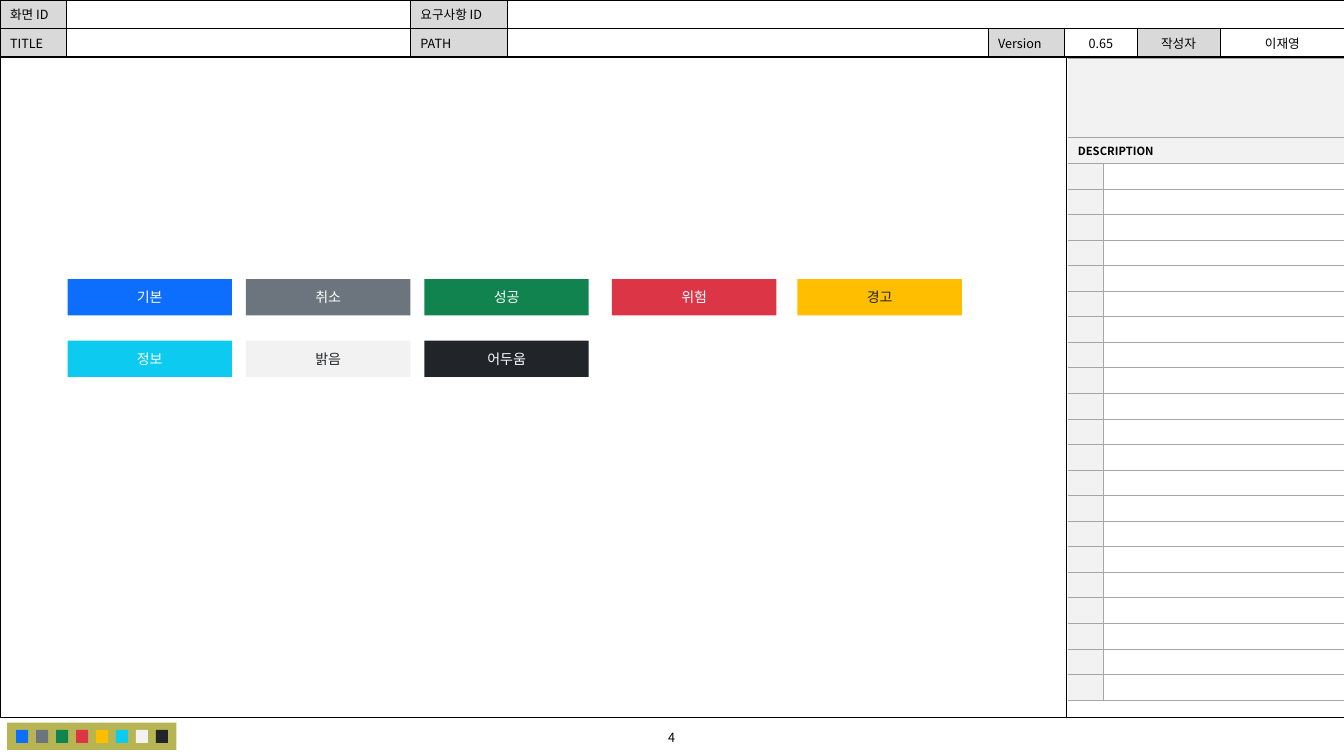
from itertools import accumulate
from lxml.etree import SubElement as Sub
from pptx import Presentation
from pptx.dml.color import RGBColor
from pptx.enum.shapes import MSO_CONNECTOR as Conn, MSO_SHAPE as Kind
from pptx.enum.text import MSO_ANCHOR as Anchor, PP_ALIGN as Align
from pptx.oxml.ns import qn
from pptx.util import Inches, Pt

COLS, ROWS = 1333, 750
UNIT = Inches(0.01)
FONT = "Noto Sans CJK KR"
BLACK, WHITE, GRAY, PALE, RULE = "000000", "FFFFFF", "D9D9D9", "F2F2F2", "A6A6A6"
DARK = "212529"
THEME = [
    ("기본", "0D6EFD", WHITE),
    ("취소", "6C757D", WHITE),
    ("성공", "10834E", WHITE),
    ("위험", "DC3545", WHITE),
    ("경고", "FFBE00", DARK),
    ("정보", "0DCAF0", WHITE),
    ("밝음", PALE, DARK),
    ("어두움", DARK, WHITE),
]


def grid(*cells):
    return [round(c * UNIT) for c in cells]


def paint(fill, tone):
    fill.solid()
    fill.fore_color.rgb = RGBColor.from_string(tone)


def write(frame, word, size, tone=BLACK, align=Align.CENTER, bold=False):
    para = frame.paragraphs[0]
    para.alignment = align
    if not word:
        Sub(para._p, qn("a:endParaRPr"), sz=str(size * 100))
        return
    run = para.add_run()
    run.text = word
    for name, value in {"size": Pt(size), "name": FONT, "bold": bold}.items():
        setattr(run.font, name, value)
    paint(run.font.fill, tone)
    Sub(run._r.get_or_add_rPr(), qn("a:ea"), typeface=FONT)


def block(slide, box, tone=None, edge=None):
    shape = slide.shapes.add_shape(Kind.RECTANGLE, *grid(*box))
    shape.shadow.inherit = False
    if tone:
        paint(shape.fill, tone)
    else:
        shape.fill.background()
    if edge:
        paint(shape.line.fill, edge)
        shape.line.width = Pt(0.25)
    else:
        shape.line.fill.background()
    return shape


def border(cell, sides, tone):
    props = cell._tc.get_or_add_tcPr()
    for side in "LRTB":
        line = Sub(props, qn("a:ln" + side), w=str(Pt(0.5)))
        if side in sides:
            Sub(Sub(line, qn("a:solidFill")), qn("a:srgbClr"), val=tone)
        else:
            Sub(line, qn("a:noFill"))


def table(slide, box, wide, high):
    made = slide.shapes.add_table(len(high), len(wide), *grid(*box)).table
    made.first_row = made.horz_banding = False
    for col, size in zip(made.columns, grid(*wide)):
        col.width = size
    for row, size in zip(made.rows, grid(*high)):
        row.height = size
    return made


def fill_cell(cell, word, size, tone, sides, edge, **fmt):
    border(cell, sides, edge)
    paint(cell.fill, tone)
    cell.vertical_anchor = Anchor.MIDDLE
    pad = 5 if word else 0
    cell.margin_top, cell.margin_bottom = grid(pad, pad)
    write(cell.text_frame, word, size, **fmt)


def header(slide, box):
    wide = [66, 341, 96, 477, 76, 72, 82, 124]
    words = [
        ["화면 ID", "", "요구사항 ID", "", "", "", "", ""],
        ["TITLE", "", "PATH", "", "Version", "0.65", "작성자", "이재영"],
    ]
    made = table(slide, box, wide, [box[3] / 2] * 2)
    made.cell(0, 3).merge(made.cell(0, 7))
    for r, line in enumerate(words):
        for c, word in enumerate(line):
            label = c % 2 == 0 and word
            align = Align.CENTER if c > 4 else Align.LEFT
            fill_cell(made.cell(r, c), word, 9, GRAY if label else WHITE,
                      "LRTB", BLACK, align=align)


def frame(slide, box, split):
    left, top, wide, high = box
    block(slide, box, edge=BLACK)
    x, y, end = grid(left + split, top, top + high)
    line = slide.shapes.add_connector(Conn.STRAIGHT, x, y, x, end)
    paint(line.line.fill, BLACK)
    line.line.width = Pt(0.5)
    Sub(line._element.spPr, qn("a:effectLst"))


def footer(slide, box):
    left, top, wide, high = box
    block(slide, (left + 7, top + 6, 168, 27), "B7B553")
    for i, (_, tone, _) in enumerate(THEME):
        block(slide, (left + 16 + i * 19.8, top + 13, 12, 13), tone)
    page = slide.shapes.add_textbox(*grid(left + 537, top + 8, 258, 25))
    page.text_frame.word_wrap = True
    page.text_frame.vertical_anchor = Anchor.MIDDLE
    write(page.text_frame, "4", 9)


def notes(slide, box, count=21):
    wide, high = box[2:]
    top, head = 78, 26
    step = (high - top - head) / count
    made = table(slide, box, [35, wide - 35], [top, head] + [step] * count)
    for r in range(count + 2):
        title = r < 2
        if title:
            made.cell(r, 0).merge(made.cell(r, 1))
        word = "DESCRIPTION" if r == 1 else ""
        fill_cell(made.cell(r, 0), word, 8, PALE, "TB" if title else "RTB",
                  RULE, align=Align.LEFT, bold=True)
        fill_cell(made.cell(r, 1), "", 8, PALE if title else WHITE,
                  "TB" if title else "LTB", RULE)


def buttons(slide, box):
    left, top, wide, high = box
    stops = list(accumulate([0, 177, 177, 186, 184]))
    for i, (word, tone, ink) in enumerate(THEME):
        row, col = divmod(i, len(stops))
        spot = (left + stops[col], top + row * (high - 36), 163, 36)
        shape = block(slide, spot, tone)
        shape.text_frame.vertical_anchor = Anchor.MIDDLE
        write(shape.text_frame, word, 10, ink)


def main():
    deck = Presentation()
    deck.slide_width, deck.slide_height = grid(COLS, ROWS)
    slide = deck.slides.add_slide(deck.slide_layouts[6])
    header(slide, (0, 0, COLS, 56))
    frame(slide, (0, 55.5, COLS, 656), 1058)
    footer(slide, (0, 711, COLS, 39))
    notes(slide, (1059, 58, 274, 636.5))
    buttons(slide, (67, 277, 887, 97))
    deck.save("out.pptx")


if __name__ == "__main__":
    main()
